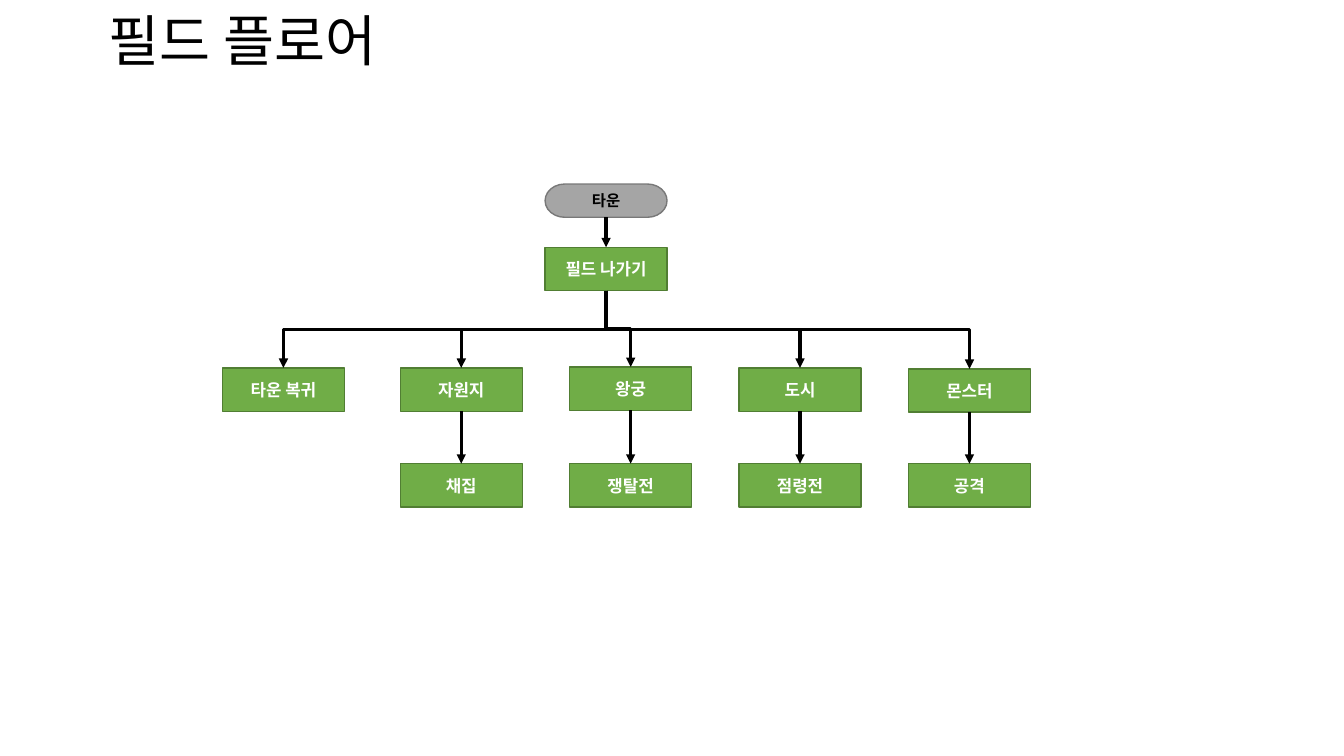
from dataclasses import dataclass
from typing import Optional

from lxml import etree
from pptx import Presentation
from pptx import util as u
from pptx.dml.color import RGBColor
from pptx.enum import shapes, text
from pptx.oxml.ns import qn

BLACK = RGBColor(0x00, 0x00, 0x00)
WHITE = RGBColor(0xFF, 0xFF, 0xFF)
GRAY = RGBColor(0xA5, 0xA5, 0xA5)
GRAY_EDGE = RGBColor(0x78, 0x78, 0x78)
GREEN = RGBColor(0x70, 0xAD, 0x47)
GREEN_EDGE = RGBColor(0x51, 0x7E, 0x33)

FONT = "Arial"
GRID_LEFT, GRID_TOP = 3.97, 3.65
COLUMN, ROW = 1.68, 0.95
STEP_WIDTH = u.Inches(1.21)
TOP_SITE, BOTTOM_SITE = 0, 2


@dataclass(frozen=True)
class Style:
    """Look of one kind of flow step."""
    outline: shapes.MSO_SHAPE
    height: float
    fill: RGBColor
    edge: RGBColor
    ink: RGBColor
    size: int


@dataclass(frozen=True)
class Step:
    """A flow step at a grid position, with the step that leads to it."""
    label: str
    column: float
    row: float
    parent: Optional[str]
    style: Style


START = Style(shapes.MSO_SHAPE.FLOWCHART_TERMINATOR, 0.33, GRAY, GRAY_EDGE, BLACK, 11)
PROCESS = Style(shapes.MSO_SHAPE.FLOWCHART_PROCESS, 0.43, GREEN, GREEN_EDGE, WHITE, 12)

STEPS = [
    Step("타운", 0.855, -1.92, None, START),
    Step("필드 나가기", 0.855, -1.26, "타운", PROCESS),
    Step("타운 복귀", -1.05, 0, "필드 나가기", PROCESS),
    Step("자원지", 0, 0, "필드 나가기", PROCESS),
    Step("왕궁", 1, -0.01, "필드 나가기", PROCESS),
    Step("도시", 2, 0, "필드 나가기", PROCESS),
    Step("몬스터", 3, 0.01, "필드 나가기", PROCESS),
    Step("채집", 0, 1, "자원지", PROCESS),
    Step("쟁탈전", 1, 1, "왕궁", PROCESS),
    Step("점령전", 2, 1, "도시", PROCESS),
    Step("공격", 3, 1, "몬스터", PROCESS),
]


def add_title(slide, wording: str) -> None:
    """Place and format the slide's title."""
    title = slide.shapes.title
    title.left, title.top = u.Inches(0.98), u.Inches(0.1)
    title.width, title.height = u.Inches(11.5), u.Inches(0.67)
    frame = title.text_frame
    frame.text = wording
    frame.auto_size = text.MSO_AUTO_SIZE.NONE
    frame.vertical_anchor = text.MSO_ANCHOR.MIDDLE
    paragraph = frame.paragraphs[0]
    paragraph.alignment = text.PP_ALIGN.LEFT
    paragraph.line_spacing = 0.9
    paragraph.font.name = FONT
    paragraph.font.size = u.Pt(39.6)
    paragraph.font.color.rgb = BLACK


def add_step(slide, step: Step):
    """Draw one flow step and return its shape."""
    style = step.style
    box = slide.shapes.add_shape(
        style.outline,
        u.Inches(GRID_LEFT + step.column * COLUMN),
        u.Inches(GRID_TOP + step.row * ROW),
        STEP_WIDTH, u.Inches(style.height))
    box.shadow.inherit = False
    box.fill.solid()
    box.fill.fore_color.rgb = style.fill
    box.line.color.rgb = style.edge
    box.line.width = u.Pt(1)
    frame = box.text_frame
    frame.text = step.label
    frame.word_wrap = True
    frame.vertical_anchor = text.MSO_ANCHOR.MIDDLE
    paragraph = frame.paragraphs[0]
    paragraph.alignment = text.PP_ALIGN.CENTER
    paragraph.font.name = FONT
    paragraph.font.size = u.Pt(style.size)
    paragraph.font.bold = True
    paragraph.font.color.rgb = style.ink
    return box


def turn_downward(elbow) -> None:
    """Rotate an elbow so that it leaves and arrives vertically."""
    run, drop = elbow.end_x - elbow.begin_x, elbow.height
    middle_x = (elbow.begin_x + elbow.end_x) // 2
    middle_y = (elbow.begin_y + elbow.end_y) // 2
    elbow.width, elbow.height = drop, abs(run)
    elbow.left, elbow.top = middle_x - drop // 2, middle_y - abs(run) // 2
    xfrm = elbow.element.spPr.find(qn("a:xfrm"))
    xfrm.set("flipH", "1" if run > 0 else "0")
    xfrm.set("rot", str((270 if run > 0 else 90) * 60000))


def add_arrow(slide, source, target) -> None:
    """Link the bottom of one step to the top of the next."""
    straight = source.left == target.left
    kind = shapes.MSO_CONNECTOR.STRAIGHT if straight else shapes.MSO_CONNECTOR.ELBOW
    arrow = slide.shapes.add_connector(kind, 0, 0, 0, 0)
    arrow.begin_connect(source, BOTTOM_SITE)
    arrow.end_connect(target, TOP_SITE)
    if not straight:
        turn_downward(arrow)
    arrow.line.color.rgb = BLACK
    arrow.line.width = u.Pt(2.25)
    etree.SubElement(arrow.line._get_or_add_ln(), qn("a:tailEnd"), type="triangle")
    etree.SubElement(arrow.element.spPr, qn("a:effectLst"))


def main() -> None:
    """Build the field flow slide."""
    deck = Presentation()
    deck.slide_width, deck.slide_height = u.Inches(13.33), u.Inches(7.5)
    slide = deck.slides.add_slide(deck.slide_layouts[5])
    add_title(slide, "필드 플로어")
    boxes = {step.label: add_step(slide, step) for step in STEPS}
    for step in STEPS:
        if step.parent:
            add_arrow(slide, boxes[step.parent], boxes[step.label])
    deck.save("out.pptx")


if __name__ == "__main__":
    main()
